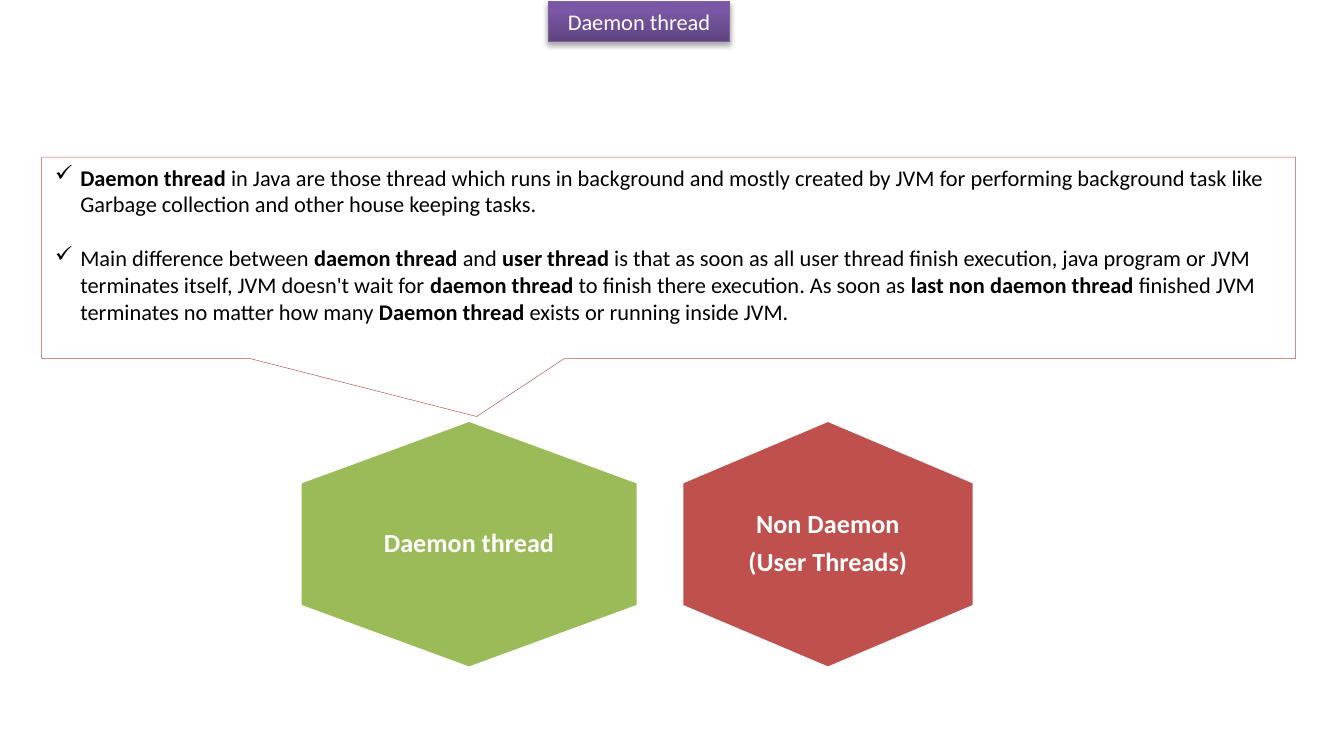
"""Build the daemon thread slide: a title, two thread hexagons and a callout."""
from copy import deepcopy
from dataclasses import dataclass

from lxml import etree
from pptx import Presentation
from pptx import util as u
from pptx.dml.color import RGBColor
from pptx.enum import shapes, text
from pptx.oxml import ns


@dataclass(frozen=True)
class Theme:
    """Colours and type sizes of the slide."""
    font: str = "Calibri"
    body_pt: int = 12
    label_pt: int = 14
    white: str = "FFFFFF"
    black: str = "000000"
    green: str = "9BBB59"
    red: str = "C0504D"
    purple_line: str = "7D60A0"
    purple_stops: tuple = ((0, "5F4480"), (0.8, "7B58A6"), (1, "7C57A8"))


@dataclass(frozen=True)
class ThreadKind:
    """A kind of thread shown as a hexagon standing on its point."""
    lines: tuple[str, ...]
    color: str
    center_x: float
    width: float
    label_width: float


THEME = Theme()
HEXAGON_HEIGHT, HEXAGON_CENTER_Y, LABEL_HEIGHT = 1.85, 4.05, 1.23
THREAD_KINDS = (
    ThreadKind(("Non Daemon", "(User Threads)"), THEME.red, 6.16, 2.18, 1.45),
    ThreadKind(("Daemon thread",), THEME.green, 3.49, 2.52, 1.68),
)
FACTS = (
    (("Daemon thread ", True),
     ("in Java are those thread which runs in background and mostly created by JVM for "
      "performing background task like Garbage collection and other house keeping tasks.", False)),
    (("Main difference between ", False), ("daemon thread ", True), ("and ", False),
     ("user thread", True),
     (" is that as soon as all user thread finish execution, java program or JVM terminates "
      "itself, JVM doesn't wait for ", False),
     ("daemon thread ", True), ("to finish there execution. As soon as ", False),
     ("last non daemon thread ", True),
     ("finished JVM terminates no matter how many ", False),
     ("Daemon thread ", True), ("exists or running inside JVM.", False)),
)


def rgb(color: str) -> RGBColor:
    return RGBColor.from_string(color)


def add_outlined(slide, kind, box: tuple, line: str, line_pt: float, fill: str | None = None):
    """Add a preset shape with its outline and, if given, a solid fill."""
    shape = slide.shapes.add_shape(kind, *map(u.Inches, box))
    shape.shadow.inherit = False
    shape.line.color.rgb = rgb(line)
    shape.line.width = u.Pt(line_pt)
    if fill:
        shape.fill.solid()
        shape.fill.fore_color.rgb = rgb(fill)
    return shape


def add_bullet(paragraph, indent: float) -> None:
    """Give a paragraph a hanging tick mark."""
    properties = paragraph._p.get_or_add_pPr()
    properties.set("marL", str(u.Inches(indent)))
    properties.set("indent", str(u.Inches(-indent)))
    etree.SubElement(properties, ns.qn("a:buFont"), typeface="Wingdings")
    etree.SubElement(properties, ns.qn("a:buChar"), char="ü")


def write_text(shape, paragraphs, *, size: int, color: str, align=text.PP_ALIGN.CENTER,
               insets: tuple = (0.1, 0.05, 0.1, 0.05), line_spacing: float = 1,
               gap_before: float = 0, gap_after: float = 0, bullet_indent: float = 0) -> None:
    """Write paragraphs made of (words, bold) runs into a shape."""
    frame = shape.text_frame
    frame.word_wrap = True
    frame.vertical_anchor = text.MSO_ANCHOR.MIDDLE
    (frame.margin_left, frame.margin_top,
     frame.margin_right, frame.margin_bottom) = map(u.Inches, insets)
    for index, runs in enumerate(paragraphs):
        paragraph = frame.add_paragraph() if index else frame.paragraphs[0]
        paragraph.alignment = align
        paragraph.line_spacing = line_spacing
        paragraph.space_before = u.Pt(gap_before if index else 0)
        paragraph.space_after = u.Pt(gap_after)
        if bullet_indent:
            add_bullet(paragraph, bullet_indent)
        for words, bold in runs:
            run = paragraph.add_run()
            run.text = words
            run.font.name = THEME.font
            run.font.size = u.Pt(size)
            run.font.bold = bold
            run.font.color.rgb = rgb(color)


def add_title(slide) -> None:
    """Add the shaded title plate with its soft shadow."""
    plate = add_outlined(slide, shapes.MSO_SHAPE.RECTANGLE, (4.08, 0.01, 1.35, 0.3),
                         THEME.purple_line, 0.75)
    plate.fill.gradient()
    plate.fill.gradient_angle = 90
    properties = plate._element.spPr
    stop_list = properties.find(".//" + ns.qn("a:gsLst"))
    stop_list.append(deepcopy(stop_list[-1]))
    for stop, (position, color) in zip(plate.fill.gradient_stops, THEME.purple_stops):
        stop.position = position
        stop.color.rgb = rgb(color)
    shadow = etree.SubElement(properties.find(ns.qn("a:effectLst")), ns.qn("a:outerShdw"),
                              blurRad=str(u.Pt(3.1)), dist=str(u.Pt(1.8)),
                              dir="5400000", rotWithShape="0")
    shade = etree.SubElement(shadow, ns.qn("a:srgbClr"), val=THEME.black)
    etree.SubElement(shade, ns.qn("a:alpha"), val="35000")
    write_text(plate, [[("Daemon thread", False)]], size=THEME.body_pt, color=THEME.white)


def add_thread_kind(slide, kind: ThreadKind) -> None:
    """Add a turned hexagon and its upright label."""
    hexagon_box = (kind.center_x - HEXAGON_HEIGHT / 2, HEXAGON_CENTER_Y - kind.width / 2,
                   HEXAGON_HEIGHT, kind.width)
    hexagon = add_outlined(slide, shapes.MSO_SHAPE.HEXAGON, hexagon_box, THEME.white, 2, kind.color)
    hexagon.rotation = 90
    label_box = (kind.center_x - kind.label_width / 2, HEXAGON_CENTER_Y - LABEL_HEIGHT / 2,
                 kind.label_width, LABEL_HEIGHT)
    label = slide.shapes.add_textbox(*map(u.Inches, label_box))
    write_text(label, [[(line, True)] for line in kind.lines], size=THEME.label_pt,
               color=THEME.white, insets=(0, 0.06, 0, 0.06), line_spacing=0.9, gap_after=4.9)


def add_callout(slide) -> None:
    """Add the callout that explains daemon threads."""
    callout = add_outlined(slide, shapes.MSO_SHAPE.RECTANGULAR_CALLOUT, (0.31, 1.17, 9.33, 1.5),
                           THEME.red, 0.25, THEME.white)
    callout.adjustments[0], callout.adjustments[1] = -0.153, 0.787
    write_text(callout, FACTS, size=THEME.body_pt, color=THEME.black,
               align=text.PP_ALIGN.LEFT, insets=(0.1, 0.05, 0.1, 0.25),
               gap_before=14.5, bullet_indent=0.19)


def main() -> None:
    deck = Presentation()
    deck.slide_width, deck.slide_height = u.Inches(10), u.Inches(5.5)
    slide = deck.slides.add_slide(deck.slide_layouts[6])
    add_title(slide)
    for kind in THREAD_KINDS:
        add_thread_kind(slide, kind)
    add_callout(slide)
    deck.save("out.pptx")


if __name__ == "__main__":
    main()
